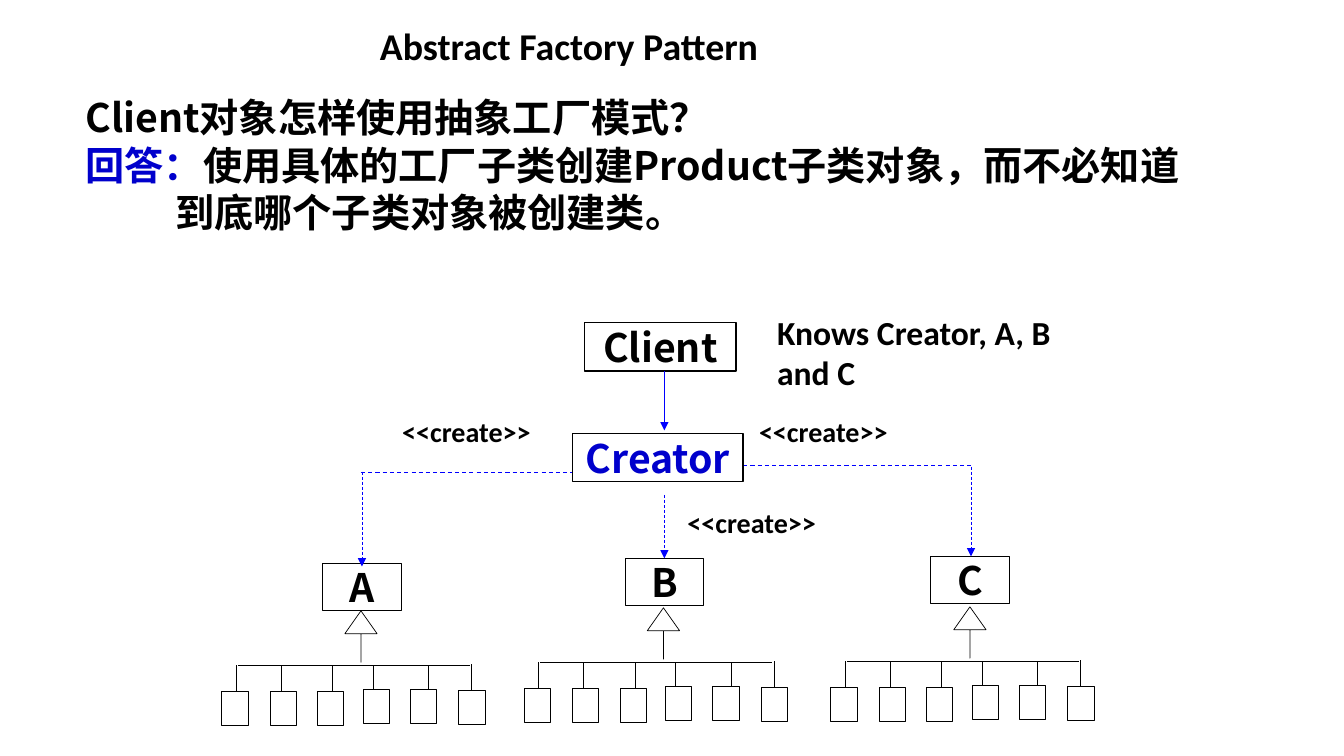
from dataclasses import dataclass

from lxml import etree
from pptx import Presentation
from pptx import util as u
from pptx.dml.color import RGBColor
from pptx.enum import dml, shapes, text
from pptx.oxml import ns

PX = 9144  # one hundredth of an inch


@dataclass(frozen=True)
class Theme:
    black: str = "000000"
    white: str = "FFFFFF"
    answer_blue: str = "0000CC"
    arrow_blue: str = "0000FF"
    latin: str = "Calibri"
    chinese: str = "Noto Sans CJK SC"
    title: int = 27
    body: int = 28
    note: int = 24
    label: int = 20
    thin: float = 0.5
    medium: float = 0.75
    bold: float = 1


THEME = Theme()


def px(*values):
    return [u.Emu(value * PX) for value in values]


def write(paragraph, content, size, font=THEME.latin, color=THEME.black):
    """Add a bold run with the given format."""
    run = paragraph.add_run()
    run.text = content
    run.font.size, run.font.bold, run.font.name = u.Pt(size), True, font
    run.font.color.rgb = RGBColor.from_string(color)
    east_asian = etree.SubElement(run.font._element, ns.qn("a:ea"))
    east_asian.set("typeface", font)


def add_text_box(slide, box):
    frame = slide.shapes.add_textbox(*px(*box)).text_frame
    frame.word_wrap = True
    return frame


def add_outline(slide, kind, box, width=THEME.thin):
    """Add a white shape; a width of 0 leaves its border off."""
    shape = slide.shapes.add_shape(kind, *px(*box))
    shape.shadow.inherit = False
    shape.fill.solid()
    shape.fill.fore_color.rgb = RGBColor.from_string(THEME.white)
    if width:
        shape.line.color.rgb = RGBColor.from_string(THEME.black)
        shape.line.width = u.Pt(width)
    else:
        shape.line.fill.background()
    return shape


def add_line(slide, start, end, color=THEME.black, width=THEME.thin, dashed=False, arrow=False):
    line = slide.shapes.add_connector(shapes.MSO_CONNECTOR.STRAIGHT, *px(*start, *end))
    line.line.color.rgb = RGBColor.from_string(color)
    line.line.width = u.Pt(width)
    if dashed:
        line.line.dash_style = dml.MSO_LINE.DASH
    if arrow:
        etree.SubElement(line.line._get_or_add_ln(), ns.qn("a:tailEnd")).set("type", "triangle")
    etree.SubElement(line._element.spPr, ns.qn("a:effectLst"))


def add_class_box(slide, box, name, color=THEME.black, width=THEME.thin):
    frame = add_outline(slide, shapes.MSO_SHAPE.RECTANGLE, box, width).text_frame
    frame.margin_left = frame.margin_top = frame.margin_right = frame.margin_bottom = 0
    frame.vertical_anchor = text.MSO_ANCHOR.MIDDLE
    paragraph = frame.paragraphs[0]
    paragraph.alignment = text.PP_ALIGN.CENTER
    write(paragraph, name, THEME.body, THEME.chinese, color)


def add_create_label(slide, left, top):
    shape = add_outline(slide, shapes.MSO_SHAPE.RECTANGLE, (left, top, 183, 43), width=0)
    frame = shape.text_frame
    frame.word_wrap = True
    frame.vertical_anchor = text.MSO_ANCHOR.TOP
    frame.paragraphs[0].alignment = text.PP_ALIGN.LEFT
    write(frame.paragraphs[0], "<<create>>", THEME.label)


def add_title(slide, box):
    frame = add_text_box(slide, box)
    frame.vertical_anchor = text.MSO_ANCHOR.MIDDLE
    frame.paragraphs[0].line_spacing = 0.9
    write(frame.paragraphs[0], "Abstract Factory Pattern", THEME.title)


def add_question(slide, box):
    """Question, answer and the indented end of the answer."""
    frame = add_text_box(slide, box)
    rows = [
        (25, -25, [("Client对象怎样使用抽象工厂模式？", THEME.black)]),
        (25, -25, [("回答：", THEME.answer_blue),
                   ("使用具体的工厂子类创建Product子类对象，而不必知道", THEME.black)]),
        (89, 0, [("到底哪个子类对象被创建类。", THEME.black)]),
    ]
    for index, (margin, indent, runs) in enumerate(rows):
        paragraph = frame.add_paragraph() if index else frame.paragraphs[0]
        paragraph.space_before, paragraph.line_spacing = u.Pt(6), 0.83
        properties = paragraph._p.get_or_add_pPr()
        properties.set("marL", str(margin * PX))
        properties.set("indent", str(indent * PX))
        for content, color in runs:
            write(paragraph, content, THEME.body, THEME.chinese, color)


def add_family(slide, name, box, tree_left, tree_top):
    """A factory class with its inheritance tree of six subclasses."""
    add_class_box(slide, box, name)
    add_line(slide, (tree_left, tree_top), (tree_left + 230, tree_top))
    # Offsets of stem x, stem y, subclass x and subclass y
    children = [(-2, 0, -16, 26), (43, 1, 32, 26), (94, 1, 79, 26),
                (134, 1, 124, 24), (189, 1, 171, 24), (232, -1, 219, 25)]
    for stem_x, stem_y, leaf_x, leaf_y in children:
        x, y = tree_left + stem_x, tree_top + stem_y
        add_line(slide, (x, y), (x, y + 55))
        add_outline(slide, shapes.MSO_SHAPE.RECTANGLE,
                    (tree_left + leaf_x, tree_top + leaf_y, 26, 34))
    inheritance = add_outline(slide, shapes.MSO_SHAPE.UP_ARROW,
                              (tree_left + 106, tree_top - 54, 32, 51))
    inheritance.adjustments[0] = 0
    inheritance.adjustments[1] = 0.709


def add_diagram(slide, left, top):
    """Client, creator and the three families, placed from the top left corner."""
    def at(x, y, *size):
        return (left + x, top + y, *size)

    # Families
    for name, x, y, tree_x, tree_y in [("A", 100, 255, 16, 356),
                                       ("B", 400, 250, 316, 353),
                                       ("C", 703, 248, 620, 352)]:
        add_family(slide, name, at(x, y, 78, 47), *at(tree_x, tree_y))

    # Dashed creation paths
    dashes = dict(color=THEME.arrow_blue, dashed=True)
    for x, start, end in [(139, 164, 258), (439, 187, 250), (743, 159, 248)]:
        add_line(slide, at(x, start), at(x, end), arrow=True, **dashes)
    for start, end, y in [(138, 366, 165), (510, 746, 158)]:
        add_line(slide, at(start, y), at(end, y), width=THEME.medium, **dashes)
    for x, y in [(169, 102), (523, 102), (452, 193)]:
        add_create_label(slide, *at(x, y))

    # Client and creator
    add_class_box(slide, at(360, 16, 150, 48), "Client", width=THEME.bold)
    add_class_box(slide, at(348, 126, 169, 48), "Creator", THEME.answer_blue, THEME.bold)
    add_line(slide, at(439, 64), at(439, 123), THEME.arrow_blue, arrow=True)
    note = add_text_box(slide, at(541, 0, 307, 91))
    write(note.paragraphs[0], "Knows Creator, A, B and C", THEME.note)


def main():
    presentation = Presentation()
    presentation.slide_width, presentation.slide_height = px(1333, 750)
    slide = presentation.slides.add_slide(presentation.slide_layouts[6])
    add_question(slide, (75, 96, 1142, 176))
    add_title(slide, (367, 21, 686, 53))
    add_diagram(slide, 220, 304)
    presentation.save("out.pptx")


if __name__ == "__main__":
    main()
